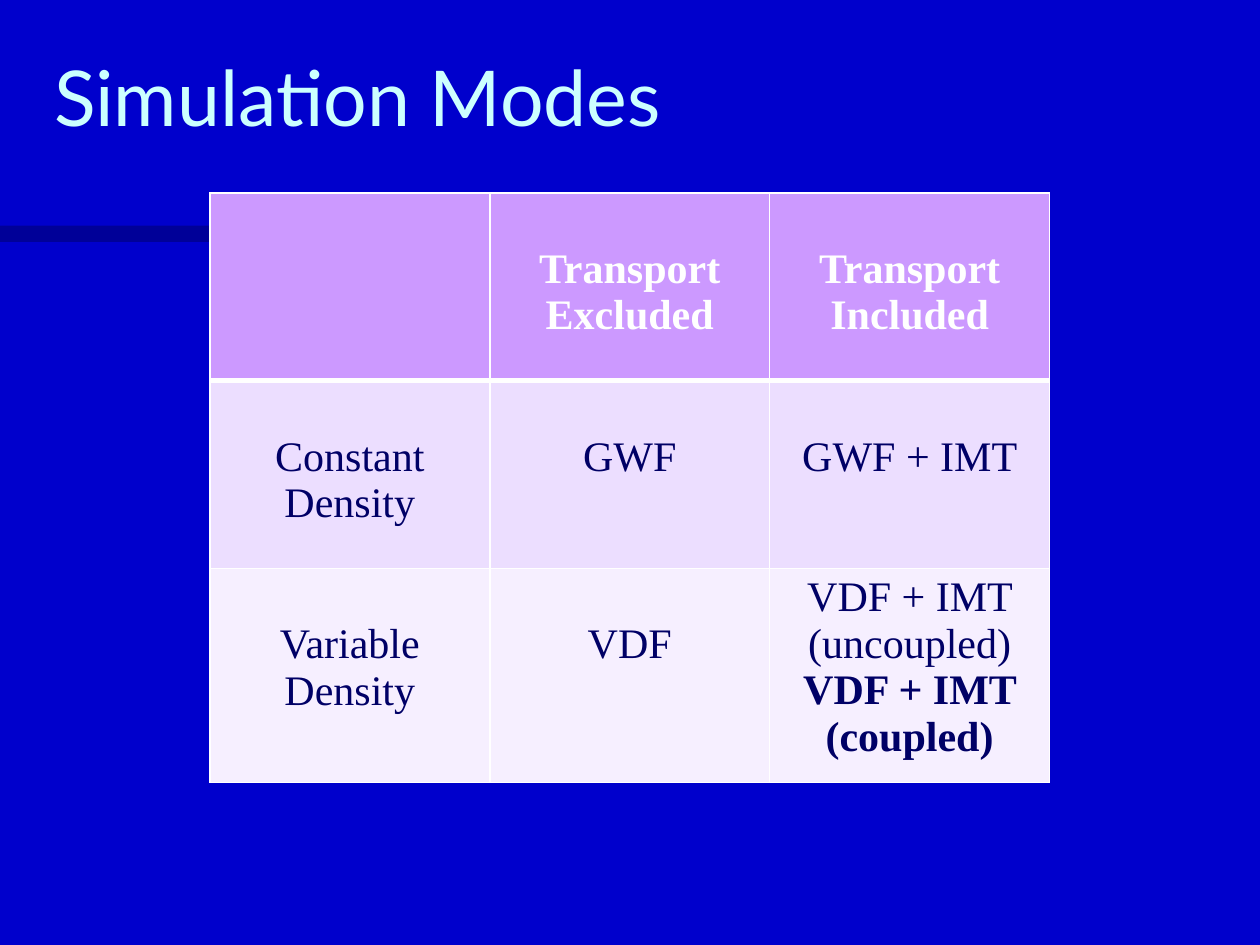
from lxml import etree
from pptx import Presentation
from pptx.dml.color import RGBColor
from pptx.enum import shapes, text
from pptx.oxml import ns
from pptx.util import Cm, Pt

BLUE = RGBColor(0x00, 0x00, 0xCC)
NAVY = RGBColor(0x00, 0x00, 0x66)
ICE = RGBColor(0xCC, 0xFF, 0xFF)
WHITE = RGBColor(0xFF, 0xFF, 0xFF)
PURPLE = RGBColor(0xCC, 0x99, 0xFF)
LILAC = RGBColor(0xEC, 0xDE, 0xFF)
PALE = RGBColor(0xF6, 0xEF, 0xFF)

MODES = [
    ["", "Transport Excluded", "Transport Included"],
    ["Constant Density", "GWF", "GWF + IMT"],
    ["Variable Density", "VDF", "VDF + IMT (uncoupled)\nVDF + IMT (coupled)"],
]
ROW_FILLS = [PURPLE, LILAC, PALE]


def write(para, words, *, size, font, color, bold=False, align=text.PP_ALIGN.LEFT):
    para.alignment = align
    span = para.add_run()
    span.text = words
    span.font.size = Pt(size)
    span.font.name = font
    span.font.color.rgb = color
    span.font.bold = bold


def draw_border(cell, side, color, width):
    properties = cell._tc.get_or_add_tcPr()
    line = etree.SubElement(properties, ns.qn(f"a:ln{side}"), w=str(Pt(width)))
    fill = etree.SubElement(line, ns.qn("a:solidFill"))
    etree.SubElement(fill, ns.qn("a:srgbClr"), val=str(color))


def add_accent_bar(page, left, top, width, height):
    bar = page.shapes.add_shape(shapes.MSO_SHAPE.RECTANGLE, left, top, width, height)
    bar.shadow.inherit = False
    bar.line.fill.background()
    bar.fill.solid()
    bar.fill.fore_color.rgb = NAVY
    color = bar._element.spPr.find(".//" + ns.qn("a:srgbClr"))
    etree.SubElement(color, ns.qn("a:alpha"), val="50000")


def add_title(page, left, top, width, height):
    box = page.shapes.add_textbox(left, top, width, height)
    frame = box.text_frame
    frame.word_wrap = True
    frame.vertical_anchor = text.MSO_ANCHOR.BOTTOM
    write(frame.paragraphs[0], "Simulation Modes", size=44, font="Lato", color=ICE)


def fill_cell(cell, words, row):
    header = row == 0
    for side in "LRTB":
        header_rule = (row, side) in [(0, "B"), (1, "T")]
        draw_border(cell, side, WHITE, 3 if header_rule else 1)
    cell.fill.solid()
    cell.fill.fore_color.rgb = ROW_FILLS[row]
    lines = words.split("\n")
    if len(lines) == 1:
        cell.margin_top = Cm(1.07)
    frame = cell.text_frame
    for index, line in enumerate(lines):
        para = frame.add_paragraph() if index else frame.paragraphs[0]
        if line:
            write(para, line, size=24, font="Times New Roman",
                  color=WHITE if header else NAVY,
                  bold=header or index > 0, align=text.PP_ALIGN.CENTER)


def add_modes_table(page, left, top, width, height):
    table = page.shapes.add_table(len(MODES), len(MODES[0]), left, top, width, height).table
    for row, entries in enumerate(MODES):
        for column, words in enumerate(entries):
            fill_cell(table.cell(row, column), words, row)


def main():
    deck = Presentation()
    deck.slide_width, deck.slide_height = Cm(25.4), Cm(19.05)
    page = deck.slides.add_slide(deck.slide_layouts[6])
    page.background.fill.solid()
    page.background.fill.fore_color.rgb = BLUE
    add_accent_bar(page, Cm(0), Cm(4.55), Cm(9.3), Cm(0.33))
    add_title(page, Cm(0.84), Cm(-0.2), Cm(21.59), Cm(3.18))
    add_modes_table(page, Cm(4.23), Cm(3.89), Cm(16.93), Cm(11.35))
    deck.save("out.pptx")


if __name__ == "__main__":
    main()
